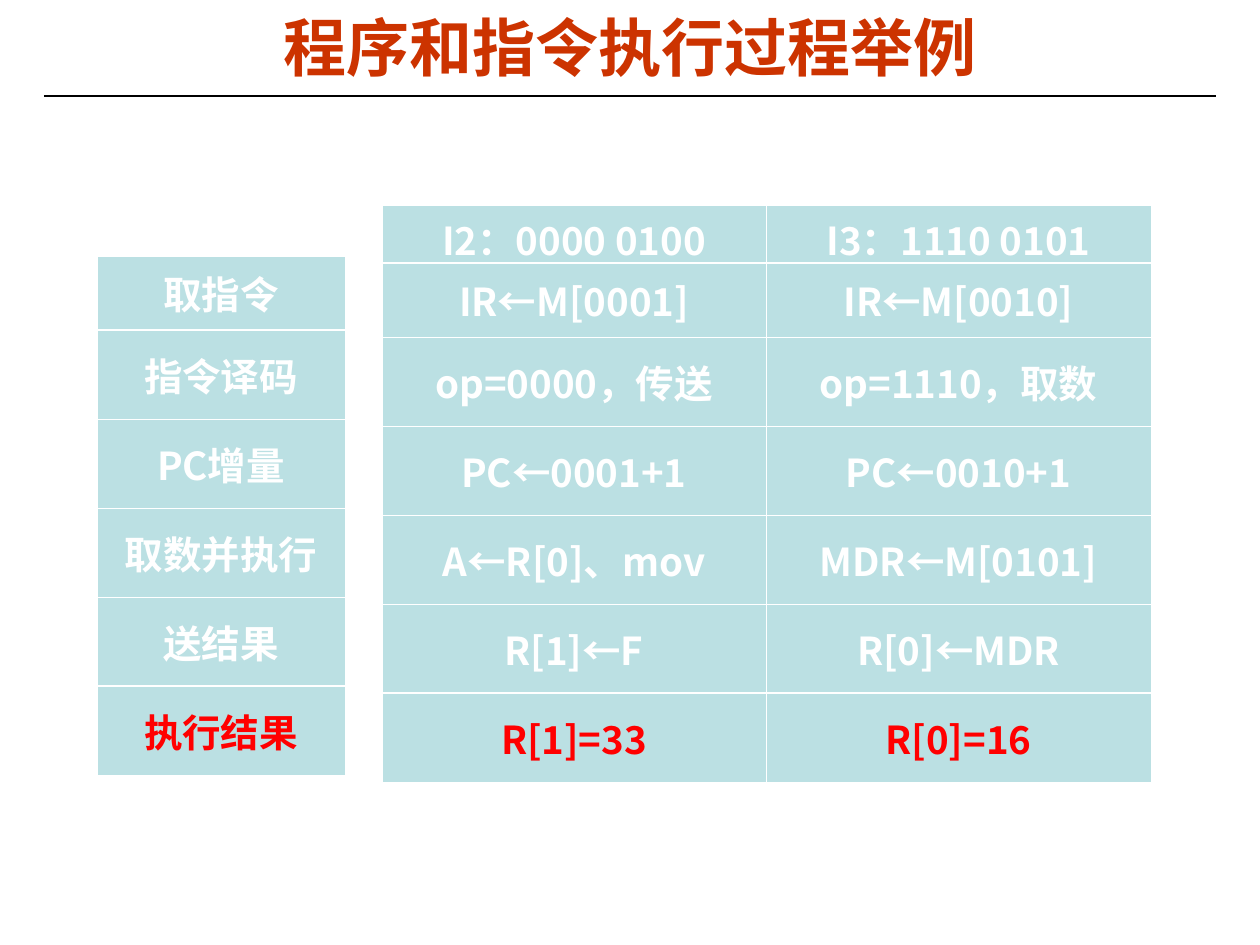
from dataclasses import dataclass

from lxml.etree import SubElement
from pptx import Presentation
from pptx.dml.color import RGBColor
from pptx.enum.shapes import MSO_CONNECTOR as Connector
from pptx.enum.text import MSO_ANCHOR as Anchor, PP_ALIGN as Align
from pptx.oxml.ns import qn
from pptx.util import Emu, Pt

SCALE = 914400 / 126  # EMU in one px
CJK_FONT = "Noto Sans CJK SC"
BLACK = RGBColor(0x00, 0x00, 0x00)
WHITE = RGBColor(0xFF, 0xFF, 0xFF)
RED = RGBColor(0xFF, 0x00, 0x00)
TITLE_RED = RGBColor(0xCC, 0x33, 0x00)
PALE_TEAL = RGBColor(0xBB, 0xE0, 0xE3)
THIN, THICK = Pt(0.45), Pt(1.47)


@dataclass(frozen=True)
class Grid:
    left: int
    top: int
    columns: list[int]
    heights: list[int]
    insets: list[int]
    rows: list[list[str]]


def px(length: int) -> Emu:
    return Emu(round(length * SCALE))


def style_text(para, size: int, font: str, color: RGBColor) -> None:
    para.alignment = Align.CENTER
    for span in para.runs:
        span.font.size = Pt(size)
        span.font.bold = True
        span.font.name = font
        span.font.color.rgb = color
        SubElement(span.font._element if hasattr(span.font, "_element") else span._r.get_or_add_rPr(),
                   qn("a:ea"), typeface=CJK_FONT)


def add_borders(cell, top: int, bottom: int) -> None:
    properties = cell._tc.get_or_add_tcPr()
    for side, width in (("L", THIN), ("R", THIN), ("T", top), ("B", bottom)):
        line = SubElement(properties, qn(f"a:ln{side}"), w=str(int(width)))
        SubElement(SubElement(line, qn("a:solidFill")), qn("a:srgbClr"), val=str(WHITE))


def draw_grid(page, grid: Grid) -> None:
    frame = page.shapes.add_table(
        len(grid.rows), len(grid.columns), px(grid.left), px(grid.top),
        px(sum(grid.columns)), px(sum(grid.heights)))
    table = frame.table
    table.first_row = False
    table.horz_banding = False
    for column, width in zip(table.columns, grid.columns):
        column.width = px(width)

    last = len(grid.rows) - 1
    heavy_edges = (1, last)  # below the first row and above the result
    for index, (texts, height) in enumerate(zip(grid.rows, grid.heights)):
        table.rows[index].height = px(height)
        for number, (text, inset) in enumerate(zip(texts, grid.insets)):
            cell = table.cell(index, number)
            add_borders(cell,
                        THICK if index in heavy_edges else THIN,
                        THICK if index + 1 in heavy_edges else THIN)
            cell.fill.solid()
            cell.fill.fore_color.rgb = PALE_TEAL
            cell.vertical_anchor = Anchor.MIDDLE
            cell.margin_left = cell.margin_right = px(inset)
            cell.margin_top = cell.margin_bottom = px(6)
            para = cell.text_frame.paragraphs[0]
            para.text = text
            style_text(para, 22, CJK_FONT, RED if index == last else WHITE)


def draw_title(page, text: str) -> None:
    box = page.shapes.add_textbox(px(63), px(8), px(1134), px(77))
    box.text_frame.word_wrap = True
    box.text_frame.vertical_anchor = Anchor.MIDDLE
    box.text_frame.text = text
    style_text(box.text_frame.paragraphs[0], 36, "Arial", TITLE_RED)


def draw_rule(page) -> None:
    rule = page.shapes.add_connector(Connector.STRAIGHT, px(44), px(96), px(1216), px(96))
    rule.line.color.rgb = BLACK
    rule.line.width = Pt(0.75)
    SubElement(rule._element.spPr, qn("a:effectLst"))


STEP_HEIGHTS = [74] + [89] * 5

INSTRUCTIONS = Grid(382, 205, [384, 385], [52] + STEP_HEIGHTS, [3, 9], [
    ["I2：0000 0100", "I3：1110 0101"],
    ["IR←M[0001]", "IR←M[0010]"],
    ["op=0000，传送", "op=1110，取数"],
    ["PC←0001+1", "PC←0010+1"],
    ["A←R[0]、mov", "MDR←M[0101]"],
    ["R[1]←F", "R[0]←MDR"],
    ["R[1]=33", "R[0]=16"],
])

STEPS = Grid(97, 256, [248], STEP_HEIGHTS, [3], [
    ["取指令"], ["指令译码"], ["PC增量"], ["取数并执行"], ["送结果"], ["执行结果"],
])


def main() -> None:
    deck = Presentation()
    deck.slide_width, deck.slide_height = px(1260), px(945)
    page = deck.slides.add_slide(deck.slide_layouts[6])

    # Heading
    draw_rule(page)
    draw_title(page, "程序和指令执行过程举例")

    # Instruction traces and the step names beside them
    for grid in (INSTRUCTIONS, STEPS):
        draw_grid(page, grid)

    deck.save("out.pptx")


if __name__ == "__main__":
    main()
